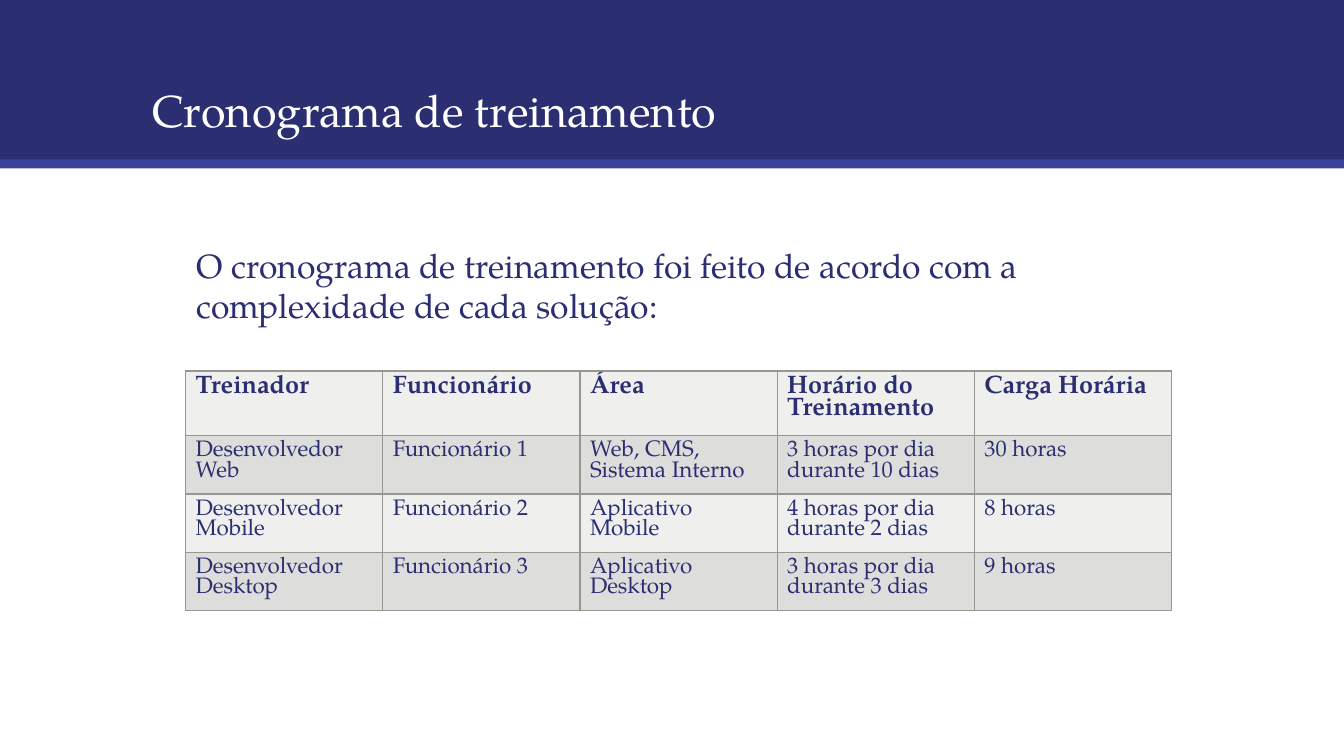
import pptx
import pptx.util
import pptx.dml.color
import pptx.enum.shapes
import pptx.enum.text
import pptx.oxml.ns
import lxml.etree

THEME = {
    "font": "TeX Gyre Pagella",
    "navy": "2B2E71", "accent": "3B409B", "white": "FFFFFF",
    "border": "969890", "light": "EFEFEE", "dark": "DDDDDB",
    "title": 32, "body": 24, "header": 18, "cell": 16,
}
TITLE = "Cronograma de treinamento"
INTRO = "O cronograma de treinamento foi feito de acordo com a complexidade de cada solução:"
SCHEDULE = [
    ("Treinador", "Funcionário", "Área", "Horário do Treinamento", "Carga Horária"),
    ("Desenvolvedor Web", "Funcionário 1", "Web, CMS, Sistema Interno",
     "3 horas por dia durante 10 dias", "30 horas"),
    ("Desenvolvedor Mobile", "Funcionário 2", "Aplicativo Mobile",
     "4 horas por dia durante 2 dias", "8 horas"),
    ("Desenvolvedor Desktop", "Funcionário 3", "Aplicativo Desktop",
     "3 horas por dia durante 3 dias", "9 horas"),
]
BANDS = [(0, 1.5, "navy"), (1.5, 0.09, "navy"), (1.58, 0.09, "accent")]
TABLE_W, HEADER_H, ROW_H = 9.78, 0.59, 0.55

Inches = pptx.util.Inches


def rgb(name):
    return pptx.dml.color.RGBColor.from_string(THEME[name])


def write(tf, text, size="body", color="navy", bold=False, spacing=None):
    tf.word_wrap = True
    p = tf.paragraphs[0]
    p.line_spacing = spacing
    r = p.add_run()
    r.text = text
    r.font.name = THEME["font"]
    r.font.size = pptx.util.Pt(THEME[size])
    r.font.color.rgb = rgb(color)
    r.font.bold = bold


def set_borders(cell):
    tc_pr = cell._tc.get_or_add_tcPr()
    qn = pptx.oxml.ns.qn
    for i, side in enumerate(("lnL", "lnR", "lnT", "lnB")):
        ln = lxml.etree.Element(qn("a:" + side), w=str(pptx.util.Pt(1)))
        fill = lxml.etree.SubElement(ln, qn("a:solidFill"))
        lxml.etree.SubElement(fill, qn("a:srgbClr"), val=THEME["border"])
        tc_pr.insert(i, ln)


prs = pptx.Presentation()
prs.slide_width, prs.slide_height = Inches(13.33), Inches(7.5)
s = prs.slides.add_slide(prs.slide_layouts[6])

for top, height, color in BANDS:
    sp = s.shapes.add_shape(pptx.enum.shapes.MSO_SHAPE.RECTANGLE,
                            0, Inches(top), prs.slide_width, Inches(height))
    sp.shadow.inherit = False
    sp.fill.solid()
    sp.fill.fore_color.rgb = rgb(color)
    sp.line.fill.background()

title = s.shapes.add_textbox(Inches(1.41), Inches(0.28), Inches(10.5), Inches(1.13))
title.text_frame.vertical_anchor = pptx.enum.text.MSO_ANCHOR.BOTTOM
write(title.text_frame, TITLE, size="title", color="white", spacing=0.9)

table = s.shapes.add_table(len(SCHEDULE), len(SCHEDULE[0]), Inches(1.84), Inches(3.68),
                           Inches(TABLE_W),
                           Inches(HEADER_H + ROW_H * (len(SCHEDULE) - 1))).table
for col in table.columns:
    col.width = Inches(TABLE_W / len(SCHEDULE[0]))
for i, values in enumerate(SCHEDULE):
    header = i == 0
    table.rows[i].height = Inches(HEADER_H if header else ROW_H)
    for j, text in enumerate(values):
        cell = table.cell(i, j)
        cell.fill.solid()
        cell.fill.fore_color.rgb = rgb("dark" if i % 2 else "light")
        set_borders(cell)
        write(cell.text_frame, text, size="header" if header else "cell",
              bold=header, spacing=0.9)

intro = s.shapes.add_textbox(Inches(1.85), Inches(2.38), Inches(9.81), Inches(0.91))
write(intro.text_frame, INTRO)

prs.save("out.pptx")
